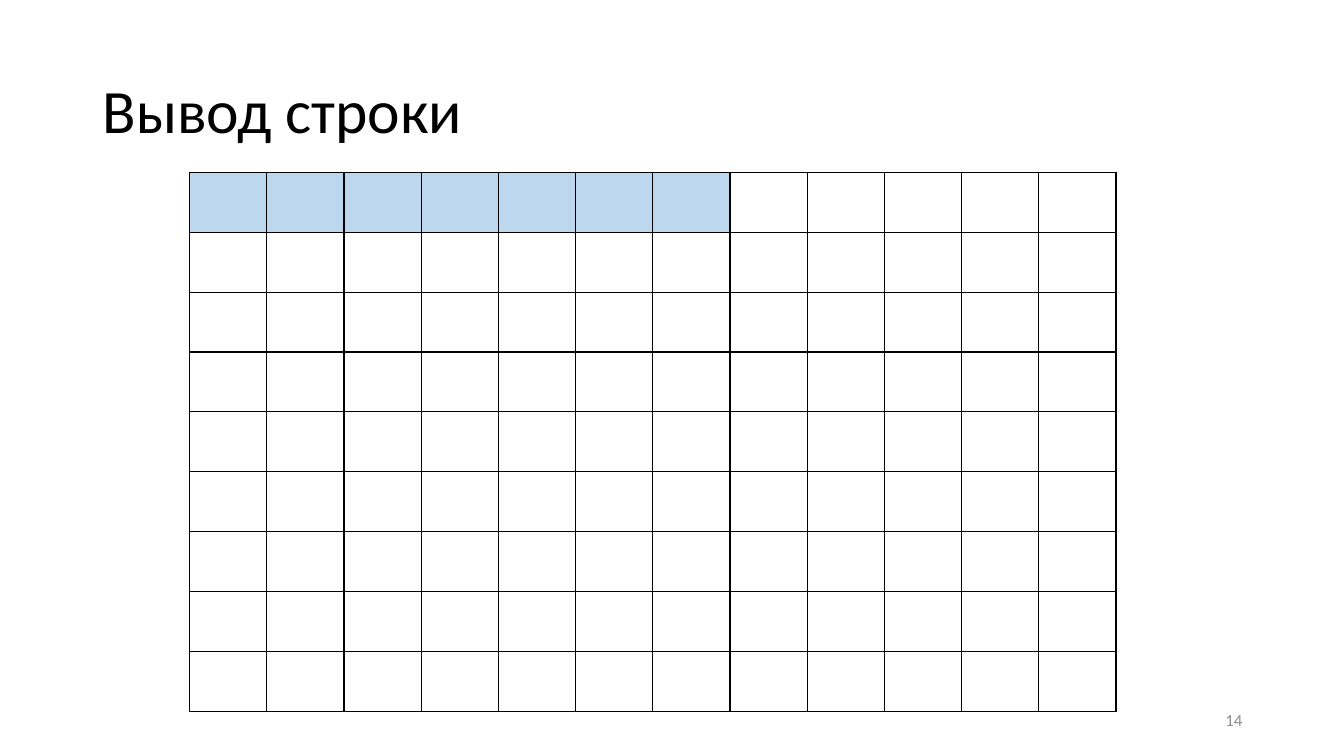
from lxml import etree
from pptx import Presentation
from pptx.dml.color import RGBColor
from pptx.enum.text import MSO_ANCHOR, PP_ALIGN
from pptx.oxml.ns import qn
from pptx.util import Inches, Pt

MIDDLE = MSO_ANCHOR.MIDDLE
LEFT, RIGHT = PP_ALIGN.LEFT, PP_ALIGN.RIGHT
COLORS = {"text": "000000", "number": "8C8C8C", "grid": "000000", "filled": "BDD7EE"}
ROWS, COLUMNS, FILLED = 9, 12, 7
GRID_WIDTH, GRID_HEIGHT = Inches(9.19), Inches(5.35)

deck = Presentation()
deck.slide_width, deck.slide_height = Inches(13.33), Inches(7.5)
page = deck.slides.add_slide(deck.slide_layouts[6])


def add_text(area, text, size, color, align):
    box = page.shapes.add_textbox(*[Inches(length) for length in area])
    frame = box.text_frame
    frame.word_wrap = True
    frame.vertical_anchor = MIDDLE
    para = frame.paragraphs[0]
    para.alignment = align
    para.line_spacing = 0.9
    span = para.add_run()
    span.text = text
    span.font.name = "Calibri"
    span.font.size = Pt(size)
    span.font.color.rgb = RGBColor.from_string(COLORS[color])


def add_borders(cell):
    properties = cell._tc.get_or_add_tcPr()
    for side in ("a:lnL", "a:lnR", "a:lnT", "a:lnB"):
        line = etree.SubElement(properties, qn(side), w=str(Pt(1)))
        solid = etree.SubElement(line, qn("a:solidFill"))
        etree.SubElement(solid, qn("a:srgbClr"), val=COLORS["grid"])


# Title
add_text((0.92, 0.4, 11.5, 1.45), "Вывод строки", 44, "text", LEFT)

# Screen grid, with the first cells of the top row filled
grid = page.shapes.add_table(
    ROWS, COLUMNS, Inches(1.88), Inches(1.71), GRID_WIDTH, GRID_HEIGHT
).table
grid.first_row = False
grid.horz_banding = False
for column in grid.columns:
    column.width = GRID_WIDTH // COLUMNS
for row_index, row in enumerate(grid.rows):
    row.height = GRID_HEIGHT // ROWS
    for column_index, cell in enumerate(row.cells):
        add_borders(cell)
        if row_index == 0 and column_index < FILLED:
            cell.fill.solid()
            cell.fill.fore_color.rgb = RGBColor.from_string(COLORS["filled"])
        else:
            cell.fill.background()

# Page number
add_text((9.42, 6.95, 3, 0.4), "14", 12, "number", RIGHT)

deck.save("out.pptx")
